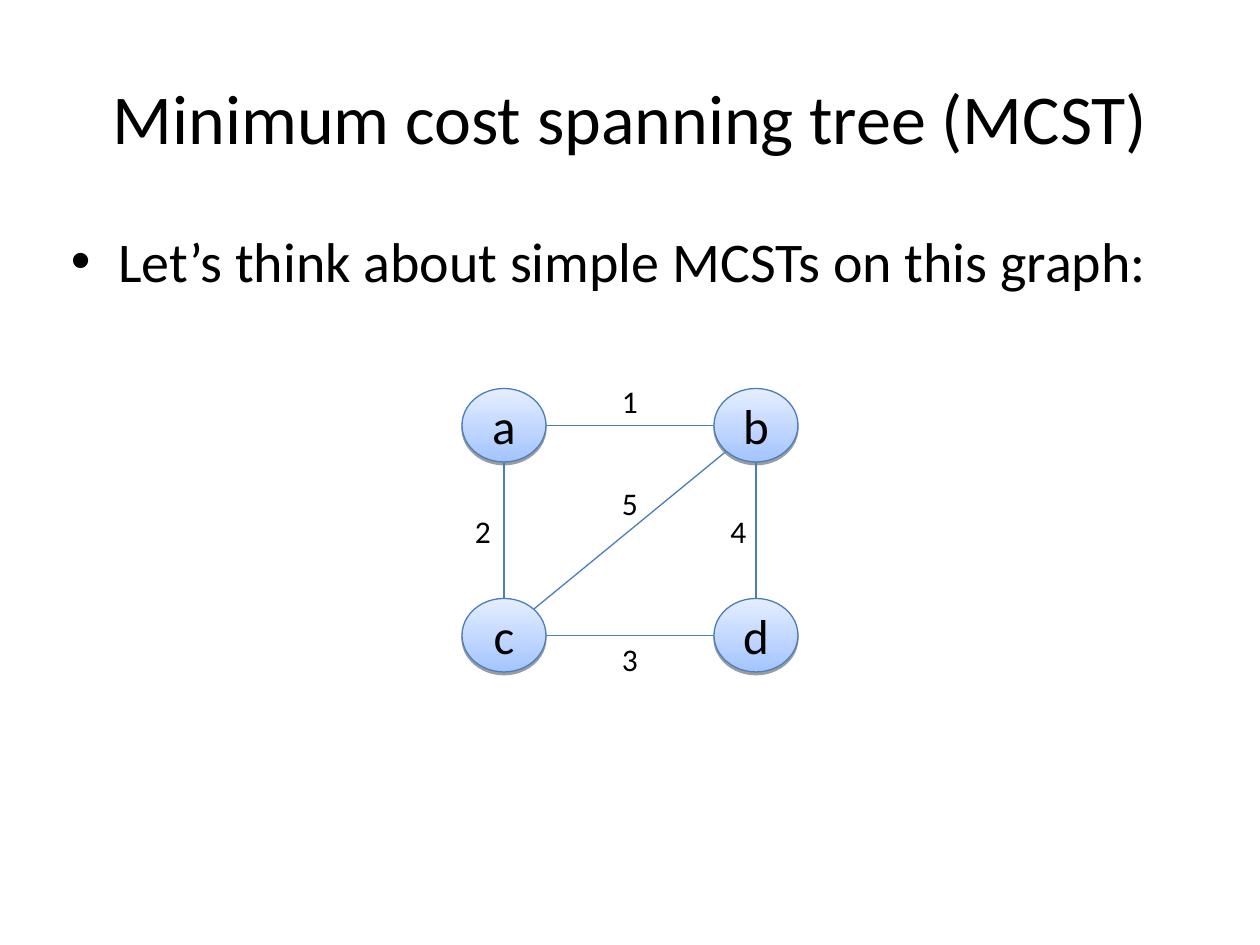
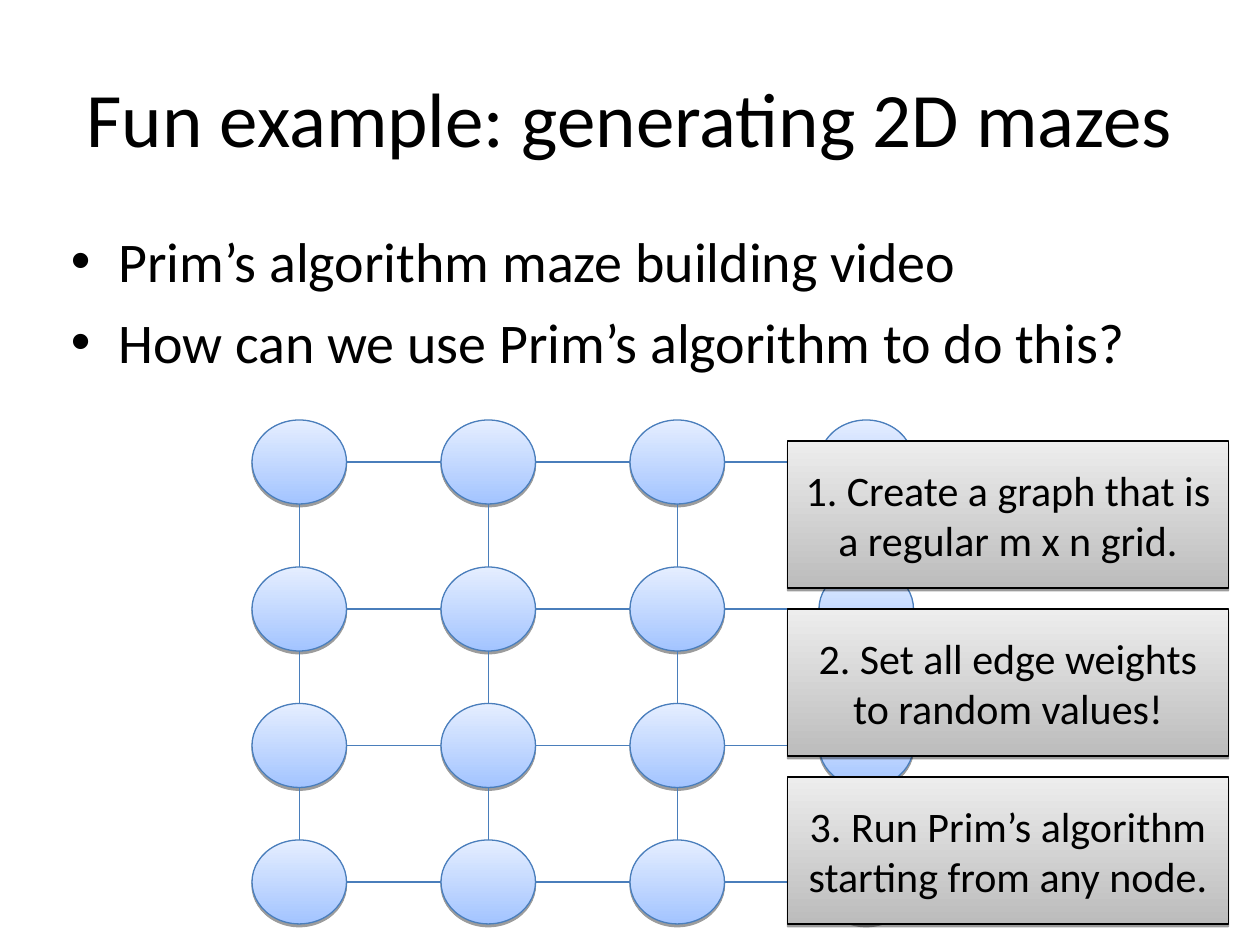
import math

import lxml.etree
import pptx
import pptx.dml.color
import pptx.enum.shapes
import pptx.enum.text
import pptx.oxml
import pptx.oxml.ns
import pptx.util

Pt = pptx.util.Pt
RGBColor = pptx.dml.color.RGBColor
SHAPES = pptx.enum.shapes.MSO_SHAPE
ALIGN = pptx.enum.text.PP_ALIGN
ANCHOR = pptx.enum.text.MSO_ANCHOR
qn = pptx.oxml.ns.qn

FONT = "Calibri"
BLACK = RGBColor(0x00, 0x00, 0x00)
EDGE_BLUE = RGBColor(0x4A, 0x7E, 0xBB)
NODE_FILL = (RGBColor(0xA3, 0xC4, 0xFF), RGBColor(0xE5, 0xEE, 0xFF))
STEP_FILL = (RGBColor(0xBC, 0xBC, 0xBC), RGBColor(0xED, 0xED, 0xED))
LINE_WIDTH = 0.75
TITLE_BOX = (36, 21.6, 648, 90)
BODY_BOX = (36, 126, 648, 356.4)
SHADOW = (
    f'<a:effectLst {pptx.oxml.ns.nsdecls("a")}>'
    '<a:outerShdw dist="20320" dir="5400000" algn="ctr" rotWithShape="0">'
    '<a:srgbClr val="000000"><a:alpha val="38000"/></a:srgbClr>'
    "</a:outerShdw></a:effectLst>"
)


def write_run(paragraph, words, size):
    """Add one run in the deck's font."""
    run = paragraph.add_run()
    run.text = words
    run.font.name = FONT
    run.font.size = Pt(size)
    run.font.color.rgb = BLACK


def write_centred(frame, words, size, anchor=ANCHOR.MIDDLE):
    """Write one centred paragraph in a text frame."""
    frame.word_wrap = True
    frame.vertical_anchor = anchor
    frame.paragraphs[0].alignment = ALIGN.CENTER
    write_run(frame.paragraphs[0], words, size)


def add_title(slide, box, words, size):
    """Place the slide title in its box."""
    title = slide.shapes.add_textbox(*map(Pt, box))
    write_centred(title.text_frame, words, size)


def add_bullets(slide, box, points):
    """Place the bulleted points in their box."""
    frame = slide.shapes.add_textbox(*map(Pt, box)).text_frame
    frame.word_wrap = True
    frame.margin_left = frame.margin_right = Pt(4.5)
    for index, point in enumerate(points):
        paragraph = frame.add_paragraph() if index else frame.paragraphs[0]
        paragraph.space_before = Pt(8)
        properties = paragraph._p.get_or_add_pPr()
        properties.set("marL", str(Pt(27)))
        properties.set("indent", str(-Pt(27)))
        lxml.etree.SubElement(properties, qn("a:buFont"), typeface="Arial")
        lxml.etree.SubElement(properties, qn("a:buChar"), char="•")
        write_run(paragraph, point, 32)


def add_raised_shape(slide, kind, box, colours, outline):
    """Add a shape with a vertical gradient and a soft shadow."""
    raised = slide.shapes.add_shape(kind, *map(Pt, box))
    raised.fill.gradient()
    raised.fill.gradient_angle = 90
    for stop, colour in zip(raised.fill.gradient_stops, colours):
        stop.color.rgb = colour
    raised.line.color.rgb = outline
    raised.line.width = Pt(LINE_WIDTH)
    raised.shadow.inherit = False
    spPr = raised._element.spPr
    spPr.replace(spPr.find(qn("a:effectLst")), pptx.oxml.parse_xml(SHADOW))
    return raised


def add_node(slide, box, letter=""):
    """Add a graph node, with its letter if it has one."""
    node = add_raised_shape(slide, SHAPES.OVAL, box, NODE_FILL, EDGE_BLUE)
    if letter:
        write_centred(node.text_frame, letter, 28)
        node.text_frame.word_wrap = False


def rim_point(box, across, down):
    """Return the point on a node's rim in the given direction."""
    left, top, width, height = box
    reach = 0.5 / math.hypot(across, down)
    return left + width * (0.5 + across * reach), top + height * (0.5 + down * reach)


def add_edge(slide, start, end, across, down):
    """Join two nodes from rim to rim."""
    ends = rim_point(start, across, down) + rim_point(end, -across, -down)
    edge = slide.shapes.add_connector(
        pptx.enum.shapes.MSO_CONNECTOR.STRAIGHT, *map(Pt, ends)
    )
    edge.line.color.rgb = EDGE_BLUE
    edge.line.width = Pt(LINE_WIDTH)
    lxml.etree.SubElement(edge._element.spPr, qn("a:effectLst"))


def add_weighted_graph(slide, left, top):
    """Draw the four-node graph with its edge weights."""
    nodes = {
        letter: (left + 144 * (index % 2), top + 120 * (index // 2), 48, 42)
        for index, letter in enumerate("abcd")
    }
    for letter, box in nodes.items():
        add_node(slide, box, letter)
    for start, end, across, down in (
        ("a", "b", 1, 0), ("a", "c", 0, 1), ("b", "d", 0, 1),
        ("c", "d", 1, 0), ("c", "b", 1, -1),
    ):
        add_edge(slide, nodes[start], nodes[end], across, down)
    for weight, x, y in (
        ("1", 78, -7.5), ("2", -6, 67), ("5", 78, 51), ("3", 78, 140), ("4", 140, 67),
    ):
        label = slide.shapes.add_textbox(Pt(left + x), Pt(top + y), Pt(36), Pt(29))
        write_centred(label.text_frame, weight, 18, ANCHOR.TOP)


def add_maze_grid(slide, left, top):
    """Draw the four by four grid of joined nodes."""
    row_offsets = (0, 84, 162, 240)
    rows = [
        [(left + 108 * column, top + offset, 54, 48) for column in range(4)]
        for offset in row_offsets
    ]
    for row in rows:
        for box in row:
            add_node(slide, box)
    for column in zip(*rows):
        for upper, lower in zip(column, column[1:]):
            add_edge(slide, upper, lower, 0, 1)
    for row in rows:
        for near, far in zip(row, row[1:]):
            add_edge(slide, near, far, 1, 0)


def add_steps(slide, left, top, steps):
    """Stack the numbered step cards."""
    for index, step in enumerate(steps):
        box = (left, top + 96 * index, 252, 84)
        card = add_raised_shape(slide, SHAPES.RECTANGLE, box, STEP_FILL, BLACK)
        write_centred(card.text_frame, step, 24)


def add_content_slide(deck, title, title_size, points):
    """Add a blank slide with a title and bullets."""
    slide = deck.slides.add_slide(deck.slide_layouts[6])
    add_title(slide, TITLE_BOX, title, title_size)
    add_bullets(slide, BODY_BOX, points)
    return slide


def main():
    """Build both slides and save the deck."""
    deck = pptx.Presentation()
    deck.slide_width, deck.slide_height = Pt(720), Pt(540)
    spanning_tree = add_content_slide(
        deck, "Minimum cost spanning tree (MCST)", 40,
        ["Let’s think about simple MCSTs on this graph:"],
    )
    add_weighted_graph(spanning_tree, 264, 222)
    mazes = add_content_slide(
        deck, "Fun example: generating 2D mazes", 44,
        [
            "Prim’s algorithm maze building video",
            "How can we use Prim’s algorithm to do this?",
        ],
    )
    add_maze_grid(mazes, 144, 240)
    add_steps(mazes, 450, 252, [
        "1. Create a graph that is a regular m x n grid.",
        "2. Set all edge weights to random values!",
        "3. Run Prim’s algorithm starting from any node.",
    ])
    deck.save("out.pptx")


if __name__ == "__main__":
    main()
